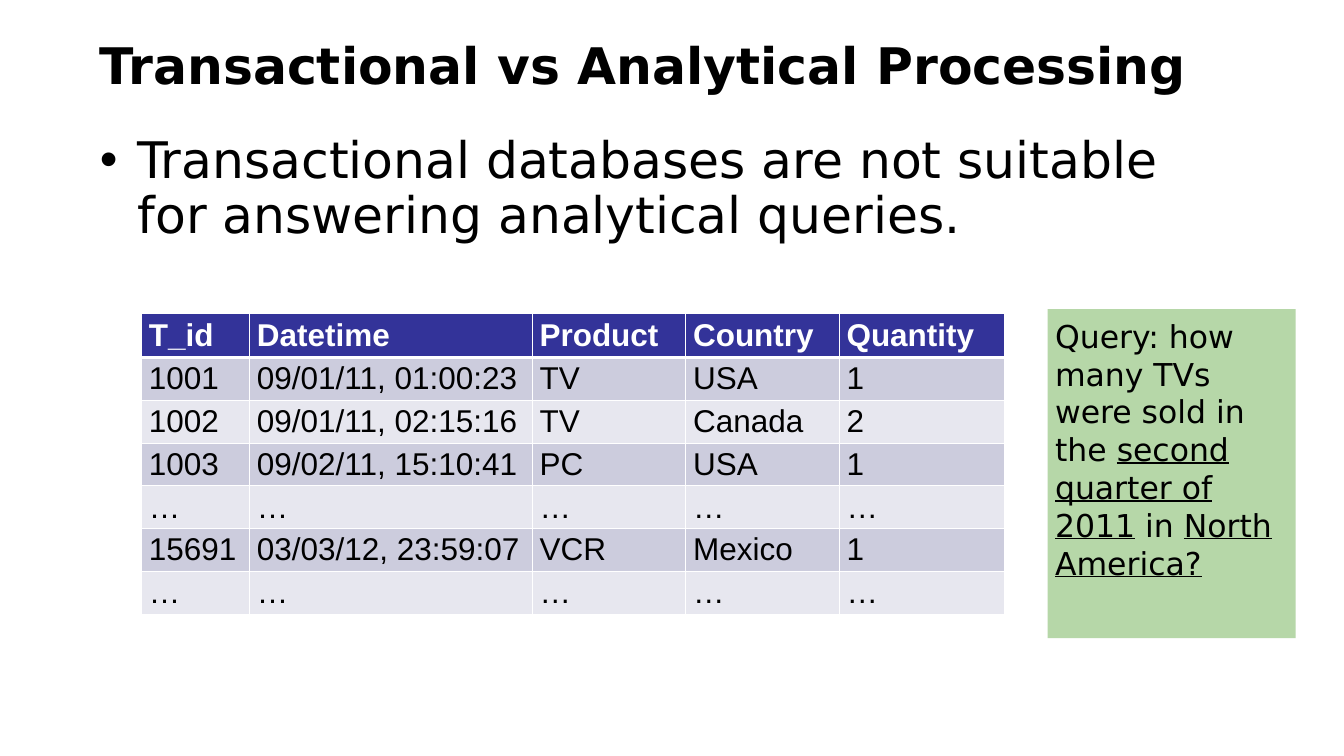
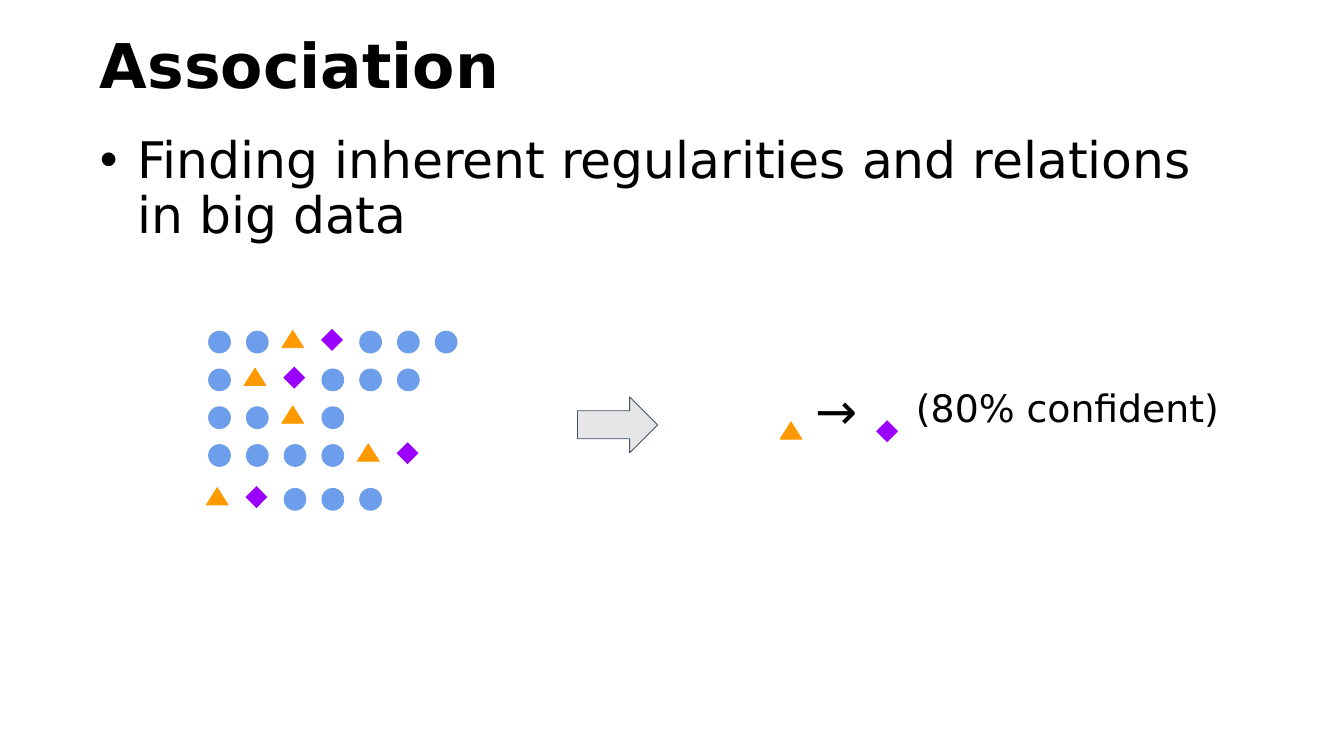
from lxml import etree
from pptx import Presentation
from pptx import util as u
from pptx.dml.color import RGBColor
from pptx.enum import shapes, text
from pptx.oxml import ns

WIDE, HIGH = u.Inches(17.78), u.Inches(10)
BLACK = RGBColor(0, 0, 0)
WHITE = RGBColor(255, 255, 255)
NAVY = RGBColor(0x33, 0x33, 0x99)
BANDS = [RGBColor(0xE7, 0xE7, 0xEF), RGBColor(0xCC, 0xCC, 0xDD)]
GREEN = RGBColor(0xB6, 0xD7, 0xA8)
BLUE = RGBColor(0x6D, 0x9E, 0xEB)
AMBER = RGBColor(0xFF, 0x99, 0x00)
VIOLET = RGBColor(0x99, 0x00, 0xFF)
GRAY = RGBColor(0xE7, 0xE6, 0xE6)
SLATE = RGBColor(0x44, 0x54, 0x6A)
SANS, ARIAL = "DejaVu Sans", "Arial"

KIND = shapes.MSO_SHAPE
MARKS = {
    "o": (KIND.OVAL, BLUE, BLUE, 2.9, 0, 0),
    "^": (KIND.ISOSCELES_TRIANGLE, AMBER, AMBER, 2.3, -0.17, -0.1),
    "d": (KIND.DIAMOND, VIOLET, None, 2.9, -0.06, -0.3),
}
MARK_WIDE = 1.63
BASKETS = [("oo^dooo", 43.8), ("o^dooo", 48.8), ("oo^o", 53.8),
           ("oooo^d", 58.8), ("^dooo", 64.6)]
FIRST, STEP = 15.52, 2.81

SALES = [
    ("T_id", "Datetime", "Product", "Country", "Quantity"),
    ("1001", "09/01/11, 01:00:23", "TV", "USA", "1"),
    ("1002", "09/01/11, 02:15:16", "TV", "Canada", "2"),
    ("1003", "09/02/11, 15:10:41", "PC", "USA", "1"),
    ("…",) * 5,
    ("15691", "03/03/12, 23:59:07", "VCR", "Mexico", "1"),
    ("…",) * 5,
]
COLS = [8.04, 21.03, 11.42, 11.42, 12.32]
HEAD, ROW = 5.8, 4.7


def across(share):
    return u.Emu(round(WIDE * share / 100))


def down(share):
    return u.Emu(round(HIGH * share / 100))


def place(left, top, wide, high):
    return across(left), down(top), across(wide), down(high)


def move(item, *area):
    item.left, item.top, item.width, item.height = place(*area)


def style(par, size, color=BLACK, name=SANS, bold=False):
    font = par.font
    font.size, font.name, font.bold = u.Pt(size), name, bold
    font.color.rgb = color


def flow(par):
    par.alignment = text.PP_ALIGN.LEFT
    par.line_spacing = 0.9
    par.space_before = u.Pt(0)


def bullet(par):
    props = par._p.get_or_add_pPr()
    props.set("marL", str(u.Inches(0.5)))
    props.set("indent", str(-u.Inches(0.5)))
    etree.SubElement(props, ns.qn("a:buFont"), typeface=ARIAL)
    etree.SubElement(props, ns.qn("a:buChar"), char="•")


def page(deck, title, size, point, high):
    slide = deck.slides.add_slide(deck.slide_layouts[1])
    head, body = slide.shapes.title, slide.placeholders[1]
    move(head, 6.86, 3.6, 86.22, 10.9)
    move(body, 6.86, 17.4, 86.22, high)
    for item, words in ((head, title), (body, point)):
        frame = item.text_frame
        frame.text = words
        frame.word_wrap = True
        frame.auto_size = text.MSO_AUTO_SIZE.NONE
        flow(frame.paragraphs[0])
    head.text_frame.vertical_anchor = text.MSO_ANCHOR.MIDDLE
    body.text_frame.vertical_anchor = text.MSO_ANCHOR.TOP
    style(head.text_frame.paragraphs[0], size, bold=True)
    par = body.text_frame.paragraphs[0]
    bullet(par)
    style(par, 48)
    return slide


def form(parent, kind, area, fill, line=None):
    item = parent.shapes.add_shape(kind, *place(*area))
    item.shadow.inherit = False
    item.fill.solid()
    item.fill.fore_color.rgb = fill
    if line is None:
        item.line.fill.background()
    else:
        item.line.color.rgb = line
        item.line.width = u.Pt(0.75)
    return item


def mark(parent, sign, left, top):
    kind, fill, line, high, *_ = MARKS[sign]
    form(parent, kind, (left, top, MARK_WIDE, high), fill, line)


def pad(frame):
    frame.word_wrap = True
    frame.vertical_anchor = text.MSO_ANCHOR.TOP
    frame.margin_left = frame.margin_right = u.Inches(0.1)
    frame.margin_top = frame.margin_bottom = u.Inches(0.1)


def label(parent, area):
    frame = parent.shapes.add_textbox(*place(*area)).text_frame
    pad(frame)
    par = frame.paragraphs[0]
    flow(par)
    return par


def edges(cell, base):
    props = cell._tc.get_or_add_tcPr()
    for side, size in (("L", 1), ("R", 1), ("T", 1), ("B", base)):
        line = etree.SubElement(props, ns.qn("a:ln" + side), w=str(u.Pt(size)))
        fill = etree.SubElement(line, ns.qn("a:solidFill"))
        etree.SubElement(fill, ns.qn("a:srgbClr"), val=str(WHITE))


def sheet(slide):
    high = HEAD + ROW * (len(SALES) - 1)
    area = place(10.52, 41.5, sum(COLS), high)
    grid = slide.shapes.add_table(len(SALES), len(COLS), *area).table
    for col, wide in zip(grid.columns, COLS):
        col.width = across(wide)
    for r, record in enumerate(SALES):
        top = r == 0
        grid.rows[r].height = down(HEAD if top else ROW)
        for c, words in enumerate(record):
            cell = grid.cell(r, c)
            edges(cell, 3 if top else 1)
            cell.fill.solid()
            cell.fill.fore_color.rgb = NAVY if top else BANDS[r % 2]
            cell.text = words
            par = cell.text_frame.paragraphs[0]
            style(par, 30, WHITE if top else BLACK, ARIAL, top)


def query(slide):
    item = form(slide, KIND.RECTANGLE, (77.95, 40.9, 18.45, 43.5), GREEN)
    pad(item.text_frame)
    par = item.text_frame.paragraphs[0]
    par.alignment = text.PP_ALIGN.LEFT
    style(par, 30)
    for words, under in (("Query: how many TVs were sold in the ", False),
                         ("second quarter of 2011", True),
                         (" in ", False), ("North America?", True)):
        run = par.add_run()
        run.text = words
        run.font.underline = under


def baskets(slide):
    group = slide.shapes.add_group_shape()
    for signs, top in BASKETS:
        for c, sign in enumerate(signs):
            right, drop = MARKS[sign][4:]
            mark(group, sign, FIRST + c * STEP + right, top + drop)


def rule(slide):
    group = slide.shapes.add_group_shape()
    mark(group, "^", 58.04, 55.8)
    mark(group, "d", 65.19, 55.6)
    arrow = label(group, (60.12, 50, 4.61, 14.4))
    arrow.text = "→"
    style(arrow, 48)
    trust = label(group, (67.6, 49.1, 25.82, 14.4))
    style(trust, 48)
    for words, size in (("(80% confident)", 36), (" ", 48)):
        run = trust.add_run()
        run.text = words
        run.font.size = u.Pt(size)


def main():
    deck = Presentation()
    deck.slide_width, deck.slide_height = WIDE, HIGH
    slide = page(deck, "Transactional vs Analytical Processing", 48,
                 "Transactional databases are not suitable for answering "
                 "analytical queries.", 69)
    sheet(slide)
    query(slide)
    slide = page(deck, "Association", 58.7,
                 "Finding inherent regularities and relations in big data",
                 21.1)
    baskets(slide)
    form(slide, KIND.RIGHT_ARROW, (42.97, 52.5, 5.96, 7.4), GRAY, SLATE)
    rule(slide)
    deck.save("out.pptx")


if __name__ == "__main__":
    main()
